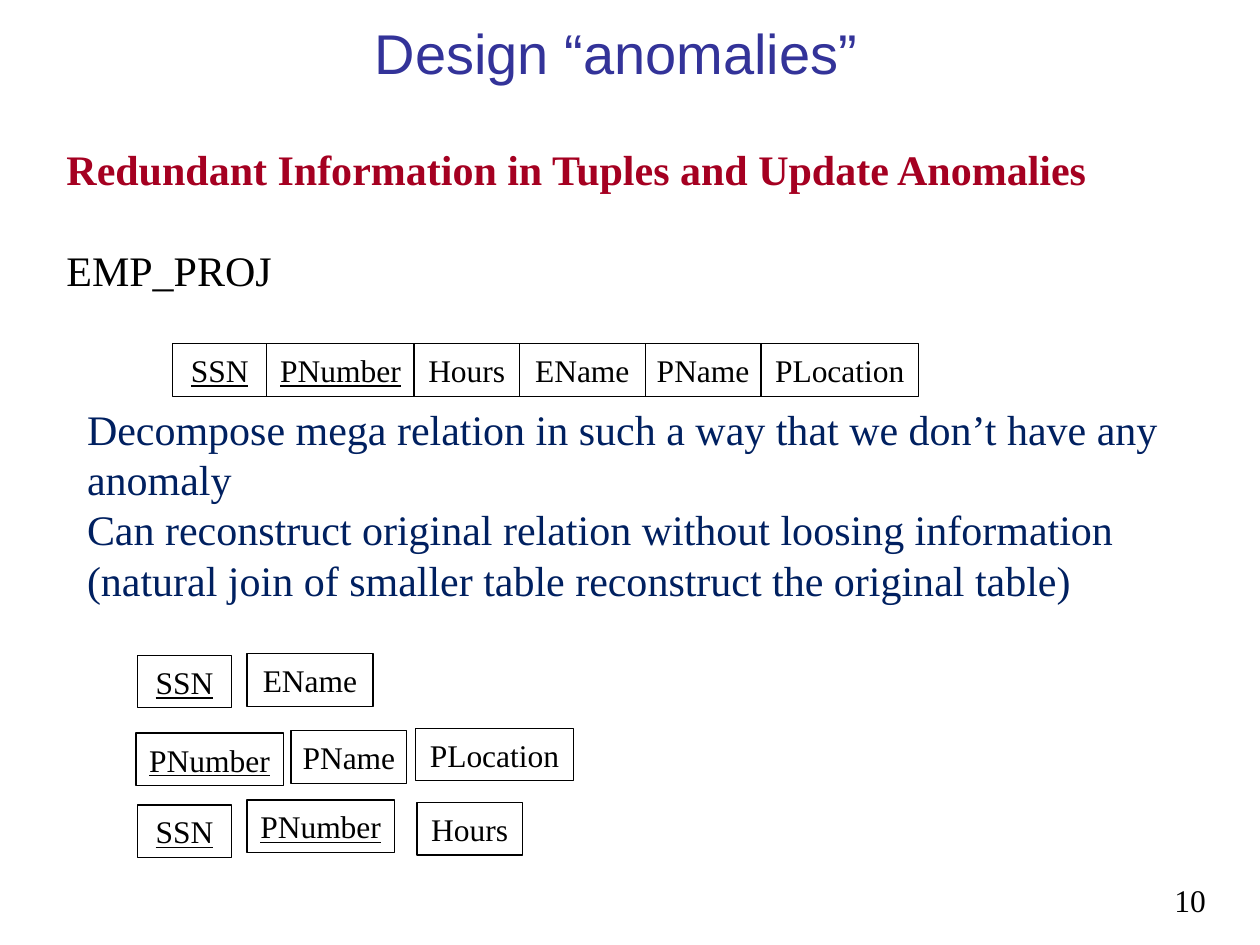
from lxml import etree
from pptx import Presentation
from pptx.dml.color import RGBColor
from pptx.enum import shapes, text
from pptx.oxml.ns import qn
from pptx.util import Cm, Pt

SERIF = "Times New Roman"
FIELD_HEIGHT = 1.06
FIELD_WIDTHS = {"SSN": 1.9, "PNumber": 2.97, "Hours": 2.12,
                "EName": 2.54, "PName": 2.33, "PLocation": 3.18}
KEY_FIELDS = {"SSN", "PNumber"}


def colour(value):
    return RGBColor.from_string(value)


def place(item, left, top, width, height):
    item.left, item.top, item.width, item.height = map(Cm, (left, top, width, height))


def write(box, content, size=24, font=SERIF, color="000000", bold=False,
          underline=False, align=text.PP_ALIGN.LEFT, before=0,
          anchor=text.MSO_ANCHOR.TOP, wrap=True, more=False):
    """Write one paragraph; with more=True, add it after the existing ones."""
    frame = box.text_frame
    frame.auto_size = text.MSO_AUTO_SIZE.NONE
    frame.word_wrap = wrap
    frame.vertical_anchor = anchor
    para = frame.add_paragraph() if more else frame.paragraphs[0]
    para.alignment = align
    para.line_spacing = Pt(size * 1.2)
    para.space_before = Pt(before)
    span = para.add_run()
    span.text = content
    span.font.name = font
    span.font.size = Pt(size)
    span.font.bold = bold
    span.font.underline = underline
    span.font.color.rgb = colour(color)
    return para


def remove_bullet(para):
    properties = para._p.get_or_add_pPr()
    properties.set("marL", "0")
    properties.set("indent", "0")
    etree.SubElement(properties, qn("a:buNone"))


def add_title(page, left, top, width, height):
    title = page.shapes.title
    place(title, left, top, width, height)
    write(title, "Design “anomalies”", size=32, font="Arial", color="333399",
          align=text.PP_ALIGN.CENTER)


def add_heading(page, left, top, width, height):
    box = page.shapes.add_textbox(*map(Cm, (left, top, width, height)))
    write(box, "Redundant Information in Tuples and Update Anomalies",
          color="A50021", bold=True)
    write(box, "EMP_PROJ", before=28.8, more=True)


def add_body(page, left, top, width, height):
    body = page.placeholders[1]
    place(body, left, top, width, height)
    lines = ("Decompose mega relation in such a way that we don’t have any anomaly",
             "Can reconstruct original relation without loosing information "
             "(natural join of smaller table reconstruct the original table)")
    for index, line in enumerate(lines):
        remove_bullet(write(body, line, color="002060", more=index > 0))


def add_field(page, name, left, top):
    field = page.shapes.add_shape(
        shapes.MSO_SHAPE.RECTANGLE,
        *map(Cm, (left, top, FIELD_WIDTHS[name], FIELD_HEIGHT)))
    field.shadow.inherit = False
    field.fill.background()
    field.line.color.rgb = colour("000000")
    field.line.width = Pt(0.75)
    write(field, name, size=18, underline=name in KEY_FIELDS, wrap=False,
          align=text.PP_ALIGN.CENTER, anchor=text.MSO_ANCHOR.MIDDLE)


def add_relation(page, left, top):
    """Adjoining fields of the full relation."""
    for name, width in FIELD_WIDTHS.items():
        add_field(page, name, left, top)
        left += width


def add_decomposition(page, left, top):
    """Separate fields of the smaller relations, offset from the corner."""
    relations = (
        (("SSN", 0.03, 0.03), ("EName", 2.24, 0)),
        (("PNumber", 0, 1.6), ("PName", 3.13, 1.55), ("PLocation", 5.64, 1.5)),
        (("SSN", 0.03, 3.05), ("PNumber", 2.24, 2.95), ("Hours", 5.67, 3)),
    )
    for relation in relations:
        for name, across, down in relation:
            add_field(page, name, left + across, top + down)


def add_page_number(page, left, top, width, height):
    box = page.shapes.add_textbox(*map(Cm, (left, top, width, height)))
    write(box, "10", size=18, align=text.PP_ALIGN.RIGHT)


def main():
    deck = Presentation()
    deck.slide_width, deck.slide_height = Cm(25.4), Cm(19.05)
    page = deck.slides.add_slide(deck.slide_layouts[1])

    # Title and relation name
    add_title(page, 1.09, 0.25, 22.66, 1.83)
    add_heading(page, 1.09, 2.77, 23.8, 4.32)

    # Full relation, explanation and its decomposition
    add_relation(page, 3.48, 6.93)
    add_body(page, 1.5, 8, 22.83, 4.32)
    add_decomposition(page, 2.74, 13.18)

    # Page number
    add_page_number(page, 22.86, 17.63, 1.7, 1.02)
    deck.save("out.pptx")


if __name__ == "__main__":
    main()
